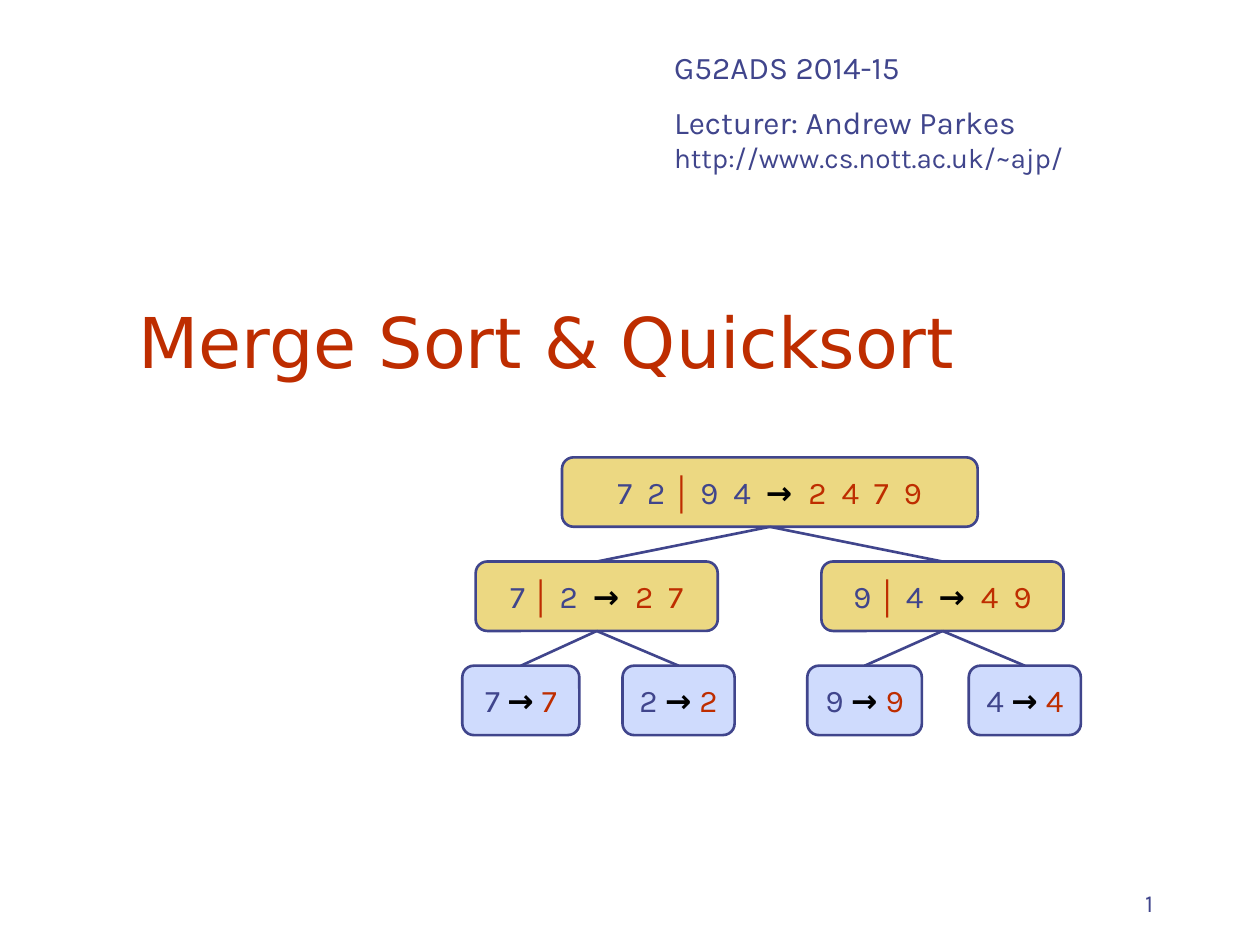
from dataclasses import dataclass

from lxml.etree import SubElement
from pptx import Presentation
from pptx.dml.color import RGBColor as Rgb
from pptx.enum.shapes import MSO_CONNECTOR as Connector, MSO_SHAPE as Shape
from pptx.enum.text import MSO_ANCHOR as Anchor, PP_ALIGN as Align
from pptx.oxml.ns import qn
from pptx.util import Cm, Pt

COLORS = {
    "ink": "40458C",
    "accent": "BE2D00",
    "arrow": "000000",
    "split": "ECD882",
    "leaf": "CFDBFD",
}


@dataclass
class Node:
    center: float
    level: int
    width: float
    source: tuple
    result: str
    children: tuple = ()


@dataclass
class Deck:
    slide: object
    body: str = "Karla"
    heading: str = "DejaVu Sans"
    divider: str = "Arial"
    top: float = 9.22
    step: float = 2.1
    height: float = 1.4

    def run(self, paragraph, text, size=18, color="ink", font=None, bold=False):
        run = paragraph.add_run()
        run.text = text
        run.font.name = font or self.body
        run.font.size = Pt(size)
        run.font.bold = bold
        run.font.color.rgb = Rgb.from_string(COLORS[color])

    def text_box(self, left, top, width, height, anchor=Anchor.TOP):
        box = self.slide.shapes.add_textbox(Cm(left), Cm(top), Cm(width), Cm(height))
        frame = box.text_frame
        frame.word_wrap = True
        frame.vertical_anchor = anchor
        return frame

    def outline(self, line):
        line.color.rgb = Rgb.from_string(COLORS["ink"])
        line.width = Pt(1.5)

    def node(self, node):
        box = self.slide.shapes.add_shape(
            Shape.ROUNDED_RECTANGLE,
            Cm(node.center - node.width / 2),
            Cm(self.top + node.level * self.step),
            Cm(node.width),
            Cm(self.height),
        )
        box.shadow.inherit = False
        box.fill.solid()
        box.fill.fore_color.rgb = Rgb.from_string(
            COLORS["split" if node.children else "leaf"]
        )
        self.outline(box.line)
        frame = box.text_frame
        frame.word_wrap = False
        frame.vertical_anchor = Anchor.MIDDLE
        equation = frame.paragraphs[0]
        equation.alignment = Align.CENTER
        gap = "  " if node.children else " "
        self.run(equation, node.source[0] + " ")
        if node.children:
            self.run(equation, "│", color="accent", font=self.divider, bold=True)
            self.run(equation, " " + node.source[1] + gap)
        self.run(equation, "→" + gap, color="arrow", bold=True)
        self.run(equation, node.result, color="accent")

    def branch(self, parent, child):
        bottom = self.top + parent.level * self.step + self.height
        child_top = self.top + child.level * self.step
        line = self.slide.shapes.add_connector(
            Connector.STRAIGHT,
            Cm(parent.center), Cm(bottom), Cm(child.center), Cm(child_top),
        )
        self.outline(line.line)
        SubElement(line._element.spPr, qn("a:effectLst"))

    def tree(self, root):
        self.node(root)
        for child in root.children:
            self.branch(root, child)
            self.tree(child)


def leaf(center, width, digit):
    return Node(center, 2, width, (digit,), digit)


def main():
    presentation = Presentation()
    presentation.slide_width, presentation.slide_height = Cm(25.4), Cm(19.05)
    deck = Deck(presentation.slides.add_slide(presentation.slide_layouts[6]))

    number = deck.text_box(18.21, 17.35, 5.29, 1.27, Anchor.BOTTOM).paragraphs[0]
    number.alignment = Align.RIGHT
    deck.run(number, "1", size=14)

    title = deck.text_box(2.54, 4.65, 21.59, 3.18, Anchor.BOTTOM).paragraphs[0]
    deck.run(title, "Merge Sort & Quicksort", size=40, color="accent", font=deck.heading)

    left_half = Node(
        12.03, 1, 4.88, ("7", "2"), "2  7",
        (leaf(10.5, 2.36, "7"), leaf(13.68, 2.26, "2")),
    )
    right_half = Node(
        19, 1, 4.88, ("9", "4"), "4  9",
        (leaf(17.43, 2.31, "9"), leaf(20.66, 2.26, "4")),
    )
    deck.tree(Node(
        15.52, 0, 8.38, ("7  2", "9  4"), "2  4  7  9", (left_half, right_half)
    ))

    course_box = deck.text_box(13.34, 0.84, 11.43, 2.87)
    deck.run(course_box.paragraphs[0], "G52ADS 2014-15")
    lecturer = course_box.add_paragraph()
    lecturer.space_before = Pt(10)
    deck.run(lecturer, "Lecturer: Andrew Parkes")
    lecturer.add_line_break()
    deck.run(lecturer, "http://www.cs.nott.ac.uk/~ajp/", size=16)

    presentation.save("out.pptx")


if __name__ == "__main__":
    main()
